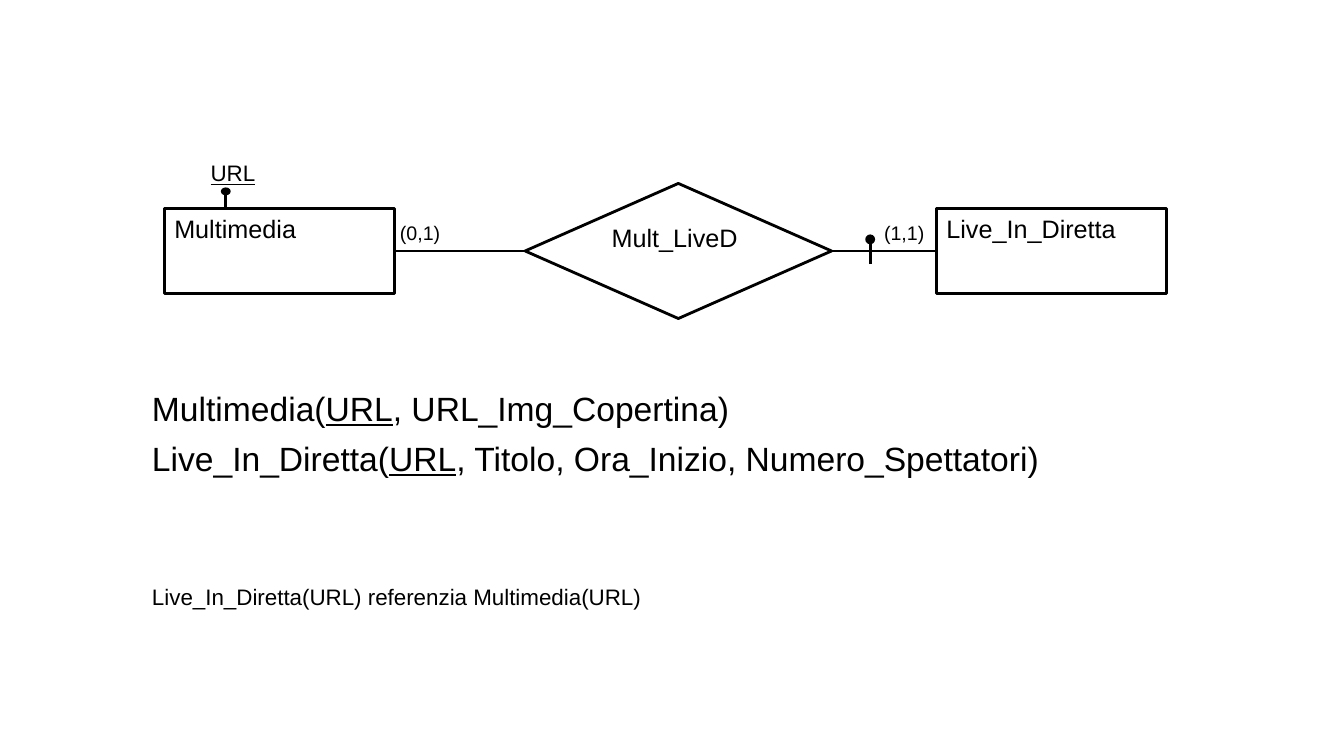
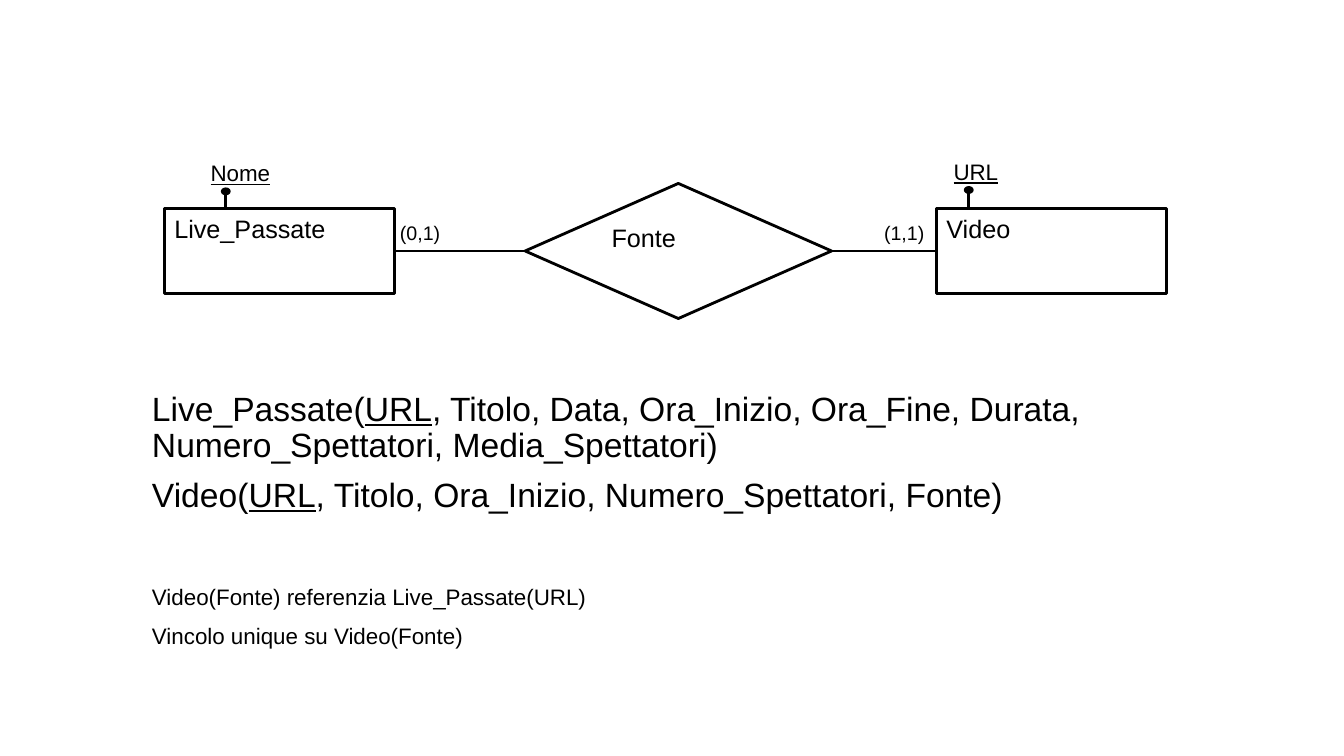
from dataclasses import dataclass

from lxml import etree
from pptx import Presentation
from pptx.dml.color import RGBColor
from pptx.enum import shapes, text
from pptx.oxml.ns import qn
from pptx.util import Pt

COLORS = {"ink": "000000", "paper": "FFFFFF"}
FONT = "Arial"
LINE_W = 2
MID_Y = 179.3
ENTITY_W, ENTITY_H = 164.2, 60.5
LEFT_X, RIGHT_X = 117.4, 668.9
DIAMOND_X, DIAMOND_W, DIAMOND_H = 375.1, 218.9, 96.5
TEXT_X, TEXT_W = 101.5, 720
DOT_W = 5


@dataclass(frozen=True)
class Box:
    x: float
    y: float
    w: float
    h: float

    def pts(self):
        return [Pt(v) for v in (self.x, self.y, self.w, self.h)]


@dataclass(frozen=True)
class Pin:
    x: float
    top: float
    bottom: float
    dot_h: float
    label: str = ""


@dataclass(frozen=True)
class Diagram:
    left: str
    relation: str
    right: str
    pins: tuple[Pin, ...]
    schema: tuple[str, ...]
    notes: tuple[str, ...]


KEY_X = 161.3
DIAGRAMS = (
    Diagram(
        "Multimedia", "Mult_LiveD", "Live_In_Diretta",
        (Pin(KEY_X, 138.5, 149.5, 3.6, "URL"), Pin(621.6, 173.5, 188.6, DOT_W)),
        ("Multimedia(|URL|, URL_Img_Copertina)",
         "Live_In_Diretta(|URL|, Titolo, Ora_Inizio, Numero_Spettatori)"),
        ("Live_In_Diretta(URL) referenzia Multimedia(URL)",),
    ),
    Diagram(
        "Live_Passate", "Fonte", "Video",
        (Pin(KEY_X, 138.5, 149.5, 3.6, "Nome"), Pin(692, 137.5, 148.6, 3.6, "URL")),
        ("Live_Passate(|URL|, Titolo, Data, Ora_Inizio, Ora_Fine, Durata, "
         "Numero_Spettatori, Media_Spettatori)",
         "Video(|URL|, Titolo, Ora_Inizio, Numero_Spettatori, Fonte)"),
        ("Video(Fonte) referenzia Live_Passate(URL)",
         "Vincolo unique su Video(Fonte)"),
    ),
)


def color(name: str) -> RGBColor:
    return RGBColor.from_string(COLORS[name])


def apply(target, formats: dict) -> None:
    for name, value in formats.items():
        setattr(target, name, value)


def ink_line(line) -> None:
    line.color.rgb = color("ink")
    line.width = Pt(LINE_W)


def write(sp, lines: tuple[str, ...], size: float, spacing: float = 1) -> None:
    tf = sp.text_frame
    apply(tf, {"word_wrap": True, "vertical_anchor": text.MSO_ANCHOR.TOP})
    for i, line in enumerate(lines):
        p = tf.paragraphs[0] if i == 0 else tf.add_paragraph()
        apply(p, {"alignment": text.PP_ALIGN.LEFT, "line_spacing": spacing})
        if i:
            p.space_before = Pt(10)
        for j, part in enumerate(line.split("|")):
            if part:
                r = p.add_run()
                r.text = part
                apply(r.font, {"name": FONT, "size": Pt(size), "underline": j % 2 == 1})
                r.font.color.rgb = color("ink")


def add_text(s, box: Box, lines: tuple[str, ...], size: float, spacing: float = 1) -> None:
    write(s.shapes.add_textbox(*box.pts()), lines, size, spacing)


def add_outline(s, kind, box: Box, filled: bool = False):
    sp = s.shapes.add_shape(kind, *box.pts())
    sp.shadow.inherit = False
    if filled:
        sp.fill.solid()
        sp.fill.fore_color.rgb = color("ink")
    else:
        sp.fill.background()
    ink_line(sp.line)
    return sp


def add_line(s, x1: float, y1: float, x2: float, y2: float) -> None:
    ends = [Pt(v) for v in (x1, y1, x2, y2)]
    sp = s.shapes.add_connector(shapes.MSO_CONNECTOR.STRAIGHT, *ends)
    ink_line(sp.line)
    etree.SubElement(sp._element.spPr, qn("a:effectLst"))


def add_pin(s, pin: Pin) -> None:
    add_line(s, pin.x, pin.bottom, pin.x, pin.top)
    dot = Box(pin.x - DOT_W / 2, pin.top - pin.dot_h, DOT_W, pin.dot_h)
    add_outline(s, shapes.MSO_SHAPE.OVAL, dot, filled=True)
    if pin.label:
        add_text(s, Box(pin.x - 18, pin.bottom - 39.2, 121, 26.6), (f"|{pin.label}|",), 16)


def add_diagram(s, d: Diagram) -> None:
    rect, diamond = shapes.MSO_SHAPE.RECTANGLE, shapes.MSO_SHAPE.DIAMOND
    for kind, name, x, w, h in (
        (rect, d.left, LEFT_X, ENTITY_W, ENTITY_H),
        (diamond, d.relation, DIAMOND_X, DIAMOND_W, DIAMOND_H),
        (rect, d.right, RIGHT_X, ENTITY_W, ENTITY_H),
    ):
        write(add_outline(s, kind, Box(x, MID_Y - h / 2, w, h)), (name,), 18)
    for start, end in ((LEFT_X + ENTITY_W, DIAMOND_X), (DIAMOND_X + DIAMOND_W, RIGHT_X)):
        add_line(s, start, MID_Y, end, MID_Y)
    for x, cardinality in ((278.6, "(0,1)"), (624.4, "(1,1)")):
        add_text(s, Box(x, 154.2, 58.5, 24), (cardinality,), 14)
    for pin in d.pins:
        add_pin(s, pin)
    add_text(s, Box(TEXT_X, 276.5, TEXT_W, 213), d.schema, 24, 0.9)
    add_text(s, Box(TEXT_X, 415.4, TEXT_W, 85), d.notes, 16, 0.9)


def main() -> None:
    prs = Presentation()
    apply(prs, {"slide_width": Pt(960), "slide_height": Pt(540)})
    for d in DIAGRAMS:
        s = prs.slides.add_slide(prs.slide_layouts[6])
        s.background.fill.solid()
        s.background.fill.fore_color.rgb = color("paper")
        add_diagram(s, d)
    prs.save("out.pptx")


if __name__ == "__main__":
    main()
